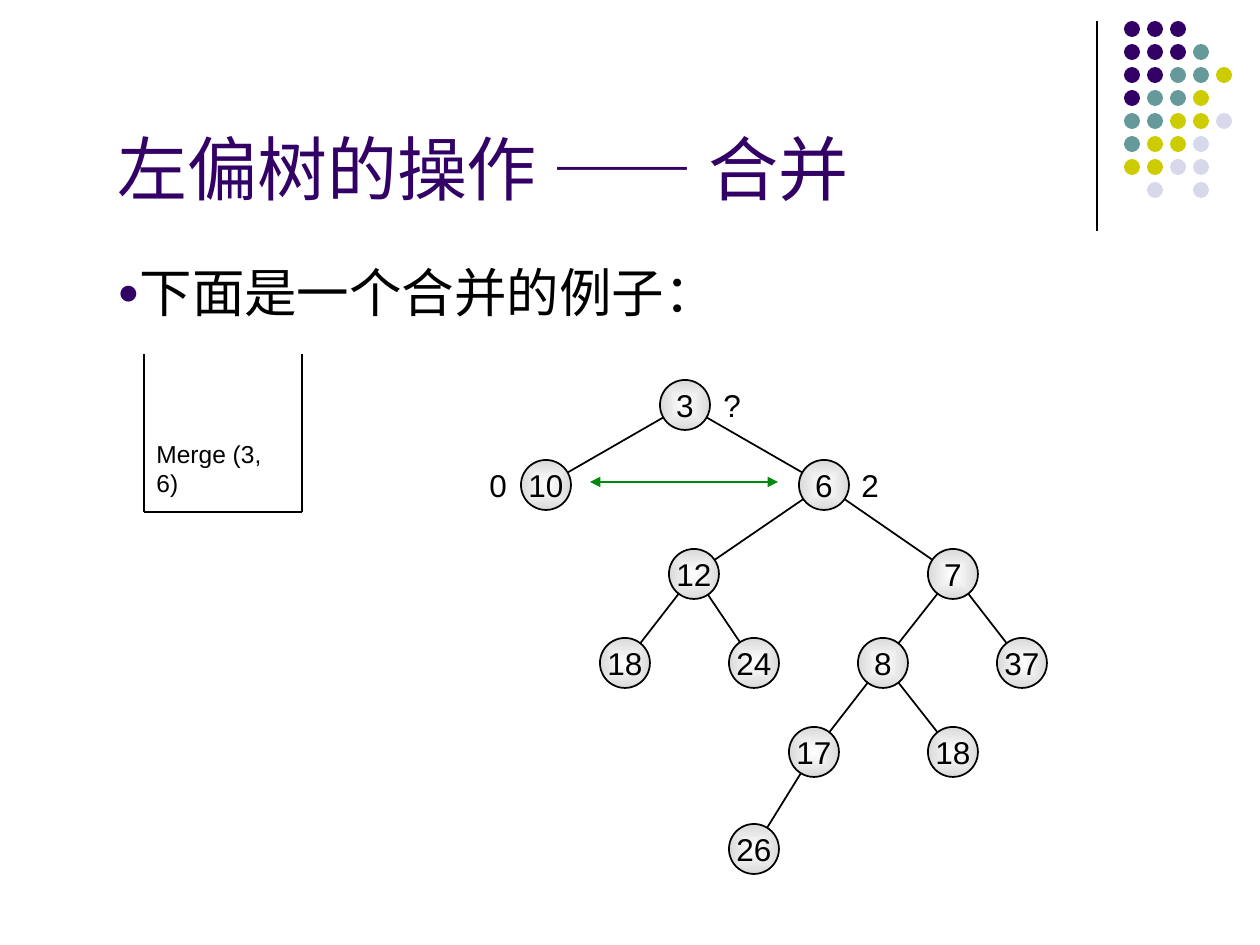
from dataclasses import dataclass
from typing import Any, Optional

from lxml import etree
from pptx import Presentation
from pptx import util as u
from pptx.dml import color
from pptx.enum import shapes, text
from pptx.oxml import ns

PX = u.Inches(1) / 126


@dataclass(frozen=True)
class Theme:
    ink: str = "000000"
    plum: str = "330066"
    teal: str = "669999"
    lime: str = "CCCC00"
    mist: str = "D8D8EC"
    green: str = "008A0D"
    core: str = "FFFFFF"
    rim: str = "DADADA"
    latin: str = "Arial"
    cjk: str = "Noto Sans CJK SC"
    title: int = 40
    body: int = 30
    node: int = 18
    call: int = 14


@dataclass(frozen=True)
class Node:
    key: str
    x: int
    y: int
    dad: Optional[int] = None


@dataclass(frozen=True)
class Line:
    x1: int
    y1: int
    x2: int
    y2: int
    width: float = 0.75
    tone: str = Theme.ink
    heads: bool = False


@dataclass(frozen=True)
class Label:
    runs: tuple[tuple[str, str], ...]
    box: tuple[int, int, int, int]
    size: int
    tone: str = Theme.ink
    anchor: Any = text.MSO_ANCHOR.TOP
    align: Any = text.PP_ALIGN.LEFT
    wrap: bool = True
    bullet: bool = False


T = Theme()
SIZE = 50  # node diameter
DOT, STEP = 16, 23
DOTS = ("PPP", "PPPT", "PPTTL", "PTTL", "TTLLM", "TLLM", "LLMM", " M M")
TONES = {"P": T.plum, "T": T.teal, "L": T.lime, "M": T.mist}

# x and y are centres; dad is the index of the parent
TREE = (
    Node("3", 685, 405),
    Node("10", 546, 485, 0),
    Node("6", 824, 485, 0),
    Node("12", 694, 574, 2),
    Node("7", 953, 574, 2),
    Node("18", 625, 663, 3),
    Node("24", 754, 663, 3),
    Node("8", 883, 663, 4),
    Node("37", 1022, 663, 4),
    Node("17", 814, 752, 7),
    Node("18", 953, 752, 7),
    Node("26", 754, 849, 9),
)
STACK = ((144, 354), (144, 512), (302, 512), (302, 354))
LINES = (
    Line(1097, 21, 1097, 231),
    *(Line(*a, *b) for a, b in zip(STACK, STACK[1:])),
    *(Line(TREE[n.dad].x, TREE[n.dad].y, n.x, n.y, 1)
      for n in TREE if n.dad is not None),
    Line(590, 482, 778, 482, 1.5, T.green, True),
)
LABELS = (
    Label((("左偏树的操作 ", T.latin), ("—— ", T.cjk), ("合并", T.latin)),
          (105, 106, 1072, 110), T.title, T.plum, text.MSO_ANCHOR.BOTTOM),
    Label((("下面是一个合并的例子：", T.latin),), (105, 254, 1062, 615),
          T.body, bullet=True),
    Label((("Merge (3, 6)", T.latin),), (144, 374, 158, 130), T.call,
          anchor=text.MSO_ANCHOR.BOTTOM),
    *(Label(((key, T.latin),), (x - 20, y - 25, 40, 50), T.node,
            align=text.PP_ALIGN.CENTER, wrap=False)
      for key, x, y in (("0", 497, 485), ("2", 869, 485), ("?", 731, 405))),
)


def emu(*px: int) -> list[int]:
    return [round(n * PX) for n in px]


def rgb(tone: str) -> color.RGBColor:
    return color.RGBColor.from_string(tone)


def put(item: Any, **vals: Any) -> None:
    for name, val in vals.items():
        setattr(item, name, val)


def sub(base: Any, tag: str, **attrs: str) -> Any:
    return etree.SubElement(base, ns.qn(tag), attrs)


def write(para: Any, runs: tuple[tuple[str, str], ...], size: int, tone: str) -> None:
    for words, face in runs:
        run = para.add_run()
        run.text = words
        put(run.font, name=face, size=u.Pt(size))
        run.font.color.rgb = rgb(tone)
        sub(run.font._element, "a:ea", typeface=T.cjk)


def dot(para: Any) -> None:
    """Give the paragraph a hanging round bullet."""
    prop = para._p.get_or_add_pPr()
    put(prop, marL=u.Inches(0.38), indent=-u.Inches(0.38))
    sub(sub(prop, "a:buClr"), "a:srgbClr", val=T.plum)
    sub(prop, "a:buSzPct", val="70000")
    sub(prop, "a:buFont", typeface=T.latin)
    sub(prop, "a:buChar", char="●")


def label(slide: Any, spec: Label) -> None:
    frame = slide.shapes.add_textbox(*emu(*spec.box)).text_frame
    put(frame, word_wrap=spec.wrap, vertical_anchor=spec.anchor)
    para = frame.paragraphs[0]
    para.alignment = spec.align
    if spec.bullet:
        dot(para)
    write(para, spec.runs, spec.size, spec.tone)


def line(slide: Any, spec: Line) -> None:
    link = slide.shapes.add_connector(
        shapes.MSO_CONNECTOR.STRAIGHT, *emu(spec.x1, spec.y1, spec.x2, spec.y2))
    link.line.width = u.Pt(spec.width)
    link.line.color.rgb = rgb(spec.tone)
    if spec.heads:
        for end in ("a:headEnd", "a:tailEnd"):
            sub(link.line._get_or_add_ln(), end, type="triangle")
    sub(link._element.spPr, "a:effectLst")


def disc(slide: Any, x: int, y: int, size: int) -> Any:
    oval = slide.shapes.add_shape(shapes.MSO_SHAPE.OVAL, *emu(x, y, size, size))
    oval.shadow.inherit = False
    return oval


def glow(oval: Any) -> None:
    """Fill from a light centre to a darker rim."""
    oval.fill.gradient()
    for stop, pos, tone in zip(oval.fill.gradient_stops, (0, 1), (T.core, T.rim)):
        stop.position = pos
        stop.color.rgb = rgb(tone)
    grad = oval._element.spPr.find(ns.qn("a:gradFill"))
    grad.remove(grad.find(ns.qn("a:lin")))
    mid = dict.fromkeys("ltrb", "50000")
    sub(sub(grad, "a:path", path="shape"), "a:fillToRect", **mid)


def node(slide: Any, spec: Node) -> None:
    oval = disc(slide, spec.x - SIZE // 2, spec.y - SIZE // 2, SIZE)
    glow(oval)
    oval.line.width = u.Pt(1)
    oval.line.color.rgb = rgb(T.ink)
    frame = oval.text_frame
    put(frame, word_wrap=False, vertical_anchor=text.MSO_ANCHOR.MIDDLE)
    para = frame.paragraphs[0]
    para.alignment = text.PP_ALIGN.CENTER
    write(para, ((spec.key, T.latin),), T.node, T.ink)


def main() -> None:
    deck = Presentation()
    put(deck, slide_width=u.Inches(10), slide_height=u.Inches(7.5))
    slide = deck.slides.add_slide(deck.slide_layouts[6])
    for row, marks in enumerate(DOTS):
        for col, mark in enumerate(marks):
            if mark in TONES:
                oval = disc(slide, 1124 + col * STEP, 21 + row * STEP, DOT)
                oval.fill.solid()
                oval.fill.fore_color.rgb = rgb(TONES[mark])
                oval.line.fill.background()
    for draw, specs in ((label, LABELS), (line, LINES), (node, TREE)):
        for item in specs:
            draw(slide, item)
    deck.save("out.pptx")


if __name__ == "__main__":
    main()
